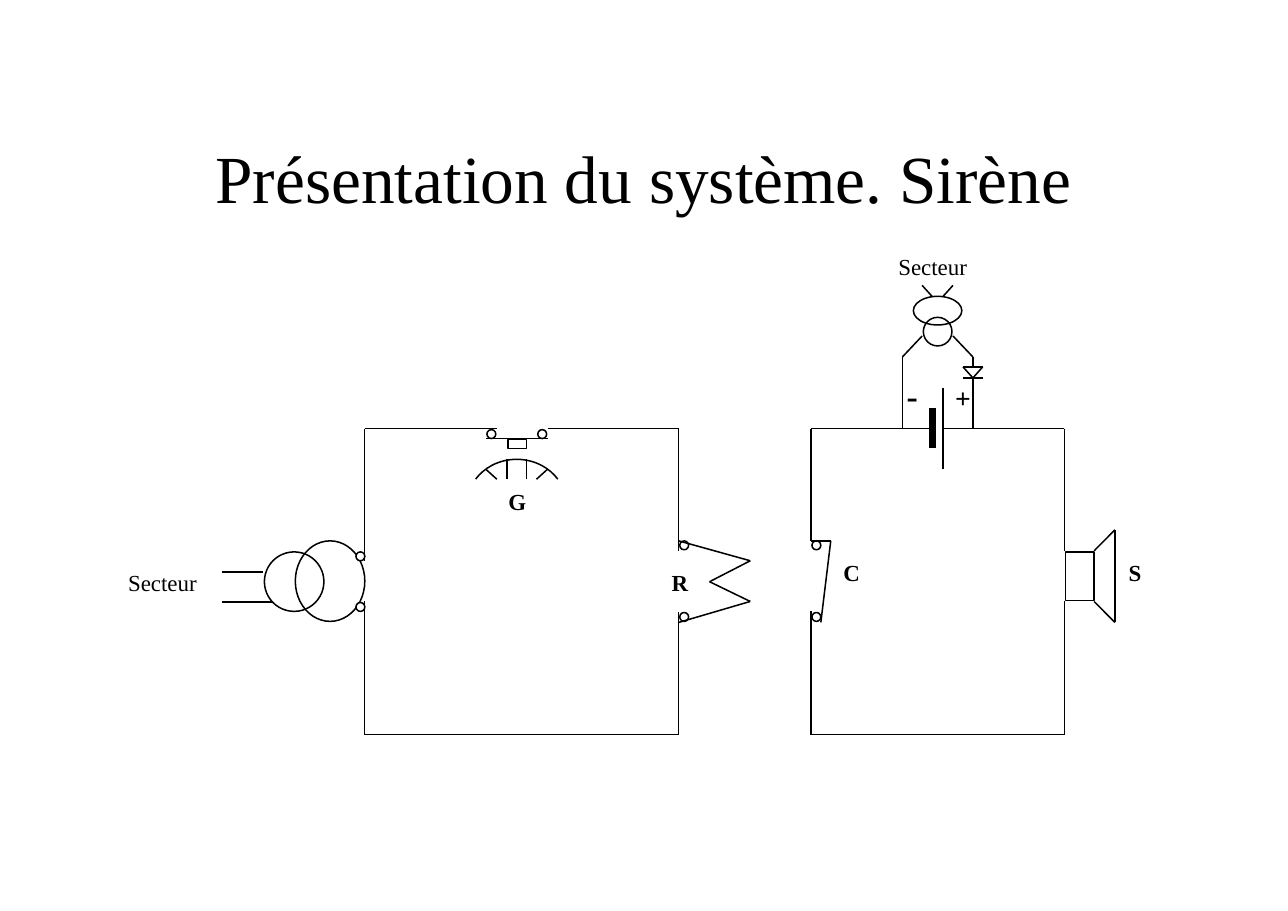
"""Builds the slide with the siren circuit diagram."""
from lxml import etree
from pptx import Presentation
from pptx.dml.color import RGBColor
from pptx.enum.shapes import MSO_CONNECTOR, MSO_SHAPE
from pptx.enum.text import MSO_ANCHOR, PP_ALIGN
from pptx.oxml.ns import qn
from pptx.util import Pt

LINE = MSO_CONNECTOR.STRAIGHT
OVAL, RECT, ARC = MSO_SHAPE.OVAL, MSO_SHAPE.RECTANGLE, MSO_SHAPE.ARC
TOP, MIDDLE = MSO_ANCHOR.TOP, MSO_ANCHOR.MIDDLE
CENTER = PP_ALIGN.CENTER

THEME = {
    "font": "Times New Roman",
    "ink": RGBColor(0, 0, 0),
    "paper": RGBColor(255, 255, 255),
    "title": 44, "label": 15, "plus": 18, "minus": 22,
    "thin": 1, "thick": 4, "lead": 0.95,
}
SIZE = (841.7, 595.4)

TITLE = ("Présentation du système. Sirène", (85.7, 72.7, 670.3, 90))
LABELS = [
    ("G", (324, 315.4, 28.1, 26.6), "label", True),
    ("-", (584.6, 242.6, 23, 34.6), "minus", True),
    ("+", (616.3, 246.2, 25.9, 29.5), "plus", True),
    ("S", (729.4, 362.2, 24.5, 26.6), "label", True),
    ("C", (542.9, 362.2, 27.4, 26.6), "label", True),
    ("R", (430.6, 368.6, 27.4, 26.6), "label", True),
    ("Secteur", (74.9, 368.6, 62.6, 26.6), "label", False),
    ("Secteur", (578.2, 162, 62.6, 26.6), "label", False),
]

TOP_Y, LOW_Y = 280.1, 480.2
MAINS_X, RELAY_X, SWITCH_X, HORN_X = 238.3, 443.5, 529.9, 695.5
CELL_L, CELL_R = 609.1, 616.3
FEED_L, FEED_R = 589.7, 635.8
DIODE_L, DIODE_R, DIODE_T, DIODE_B = 629.3, 642.2, 239.8, 247

WIRES = {
    "mains": [[(145.4, 373.7), (172.1, 373.7)],
              [(145.4, 393.5), (178.2, 393.5)]],
    "loop": [[(MAINS_X, 366.5), (MAINS_X, TOP_Y), (324.7, TOP_Y)],
             [(357.8, TOP_Y), (RELAY_X, TOP_Y), (RELAY_X, 360)],
             [(MAINS_X, 393.1), (MAINS_X, LOW_Y), (RELAY_X, LOW_Y),
              (RELAY_X, 400.3)]],
    "bell": [[(317.5, 286.6), (357.8, 286.6)],
             [(317.5, 306.7), (324.7, 313.2)],
             [(331.2, 300.2), (331.2, 313.2)],
             [(344.2, 300.2), (344.2, 313.2)],
             [(357.8, 306.7), (350.6, 313.2)]],
    "relay": [[(RELAY_X, 353.5), (490.3, 366.5), (463.7, 380.2),
               (490.3, 393.1), (RELAY_X, 406.8)]],
    "switch": [[(536.4, 406.8), (542.9, 353.5), (SWITCH_X, 353.5),
                (SWITCH_X, TOP_Y), (CELL_L, TOP_Y)]],
    "horn": [[(CELL_R, TOP_Y), (HORN_X, TOP_Y), (HORN_X, 360)],
             [(HORN_X, 393.1), (HORN_X, LOW_Y), (SWITCH_X, LOW_Y),
              (SWITCH_X, 399.6)],
             [(715, 360), (728.6, 346.3), (728.6, 406.8), (715, 393.1)]],
    "cell": [[(CELL_R, 253.4), (CELL_R, 306.7)]],
    "feed": [[(602.6, 186.5), (609.1, 193.7)],
             [(622.8, 186.5), (616.3, 193.7)],
             [(602.6, 219.6), (FEED_L, 233.3), (FEED_L, TOP_Y)],
             [(622.8, 219.6), (FEED_R, 233.3), (FEED_R, DIODE_T)],
             [(FEED_R, DIODE_B), (FEED_R, TOP_Y)]],
    "diode": [[(DIODE_L, DIODE_B), (DIODE_R, DIODE_B)],
              [(DIODE_L, DIODE_T), (DIODE_R, DIODE_T), (FEED_R, DIODE_B),
               (DIODE_L, DIODE_T)]],
}
PLATE = [(609.4, 266.4), (609.4, 293)]

PARTS = [
    (OVAL, (172.8, 360.7, 38.9, 38.9), True),
    (OVAL, (193, 353.5, 45.4, 52.6), False),
    (RECT, (331.9, 287.3, 12.2, 5.8), True),
    (OVAL, (596.9, 193.7, 31.7, 18.7), True),
    (OVAL, (603.4, 207.4, 18.7, 18.7), False),
    (RECT, (696.2, 360.7, 18.7, 31.7), True),
]
DOT = 5.8
DOTS = [(232.6, 360.7), (232.6, 393.8), (318.2, 280.8), (351.4, 280.8),
        (444.2, 353.5), (444.2, 400.3), (530.6, 353.5), (530.6, 400.3)]
GONG, ANGLES = (305.3, 300.2, 64.8, 59), (211.7, 328.3)
ANGLE_UNIT = 0.6


def points(nums):
    return [Pt(num) for num in nums]


def add_part(slide, kind, box, filled):
    part = slide.shapes.add_shape(kind, *points(box))
    part.shadow.inherit = False
    if filled:
        part.fill.solid()
        part.fill.fore_color.rgb = THEME["paper"]
    else:
        part.fill.background()
    part.line.color.rgb = THEME["ink"]
    part.line.width = Pt(THEME["thin"])
    return part


def add_wire(slide, chain, weight="thin"):
    for start, end in zip(chain, chain[1:]):
        wire = slide.shapes.add_connector(LINE, *points(start + end))
        wire.line.color.rgb = THEME["ink"]
        wire.line.width = Pt(THEME[weight])
        etree.SubElement(wire._element.spPr, qn("a:effectLst"))


def add_text(slide, text, box, size, bold=False, anchor=TOP, inset=4.3):
    frame = slide.shapes.add_textbox(*points(box)).text_frame
    frame.word_wrap = True
    frame.vertical_anchor = anchor
    frame.margin_left = frame.margin_right = 0
    frame.margin_top = frame.margin_bottom = Pt(inset)
    frame.text = text
    para = frame.paragraphs[0]
    para.alignment = CENTER
    para.line_spacing = THEME["lead"]
    font = para.runs[0].font
    font.name, font.size, font.bold = THEME["font"], Pt(THEME[size]), bold
    font.color.rgb = THEME["ink"]


def main():
    deck = Presentation()
    deck.slide_width, deck.slide_height = points(SIZE)
    slide = deck.slides.add_slide(deck.slide_layouts[6])
    text, box = TITLE
    add_text(slide, text, box, "title", anchor=MIDDLE, inset=0)
    for part in PARTS:
        add_part(slide, *part)
    for x, y in DOTS:
        add_part(slide, OVAL, (x, y, DOT, DOT), True)
    gong = add_part(slide, ARC, GONG, False)
    for i, angle in enumerate(ANGLES):
        gong.adjustments[i] = angle * ANGLE_UNIT
    for chains in WIRES.values():
        for chain in chains:
            add_wire(slide, chain)
    add_wire(slide, PLATE, "thick")
    for label in LABELS:
        add_text(slide, *label)
    deck.save("out.pptx")


if __name__ == "__main__":
    main()
